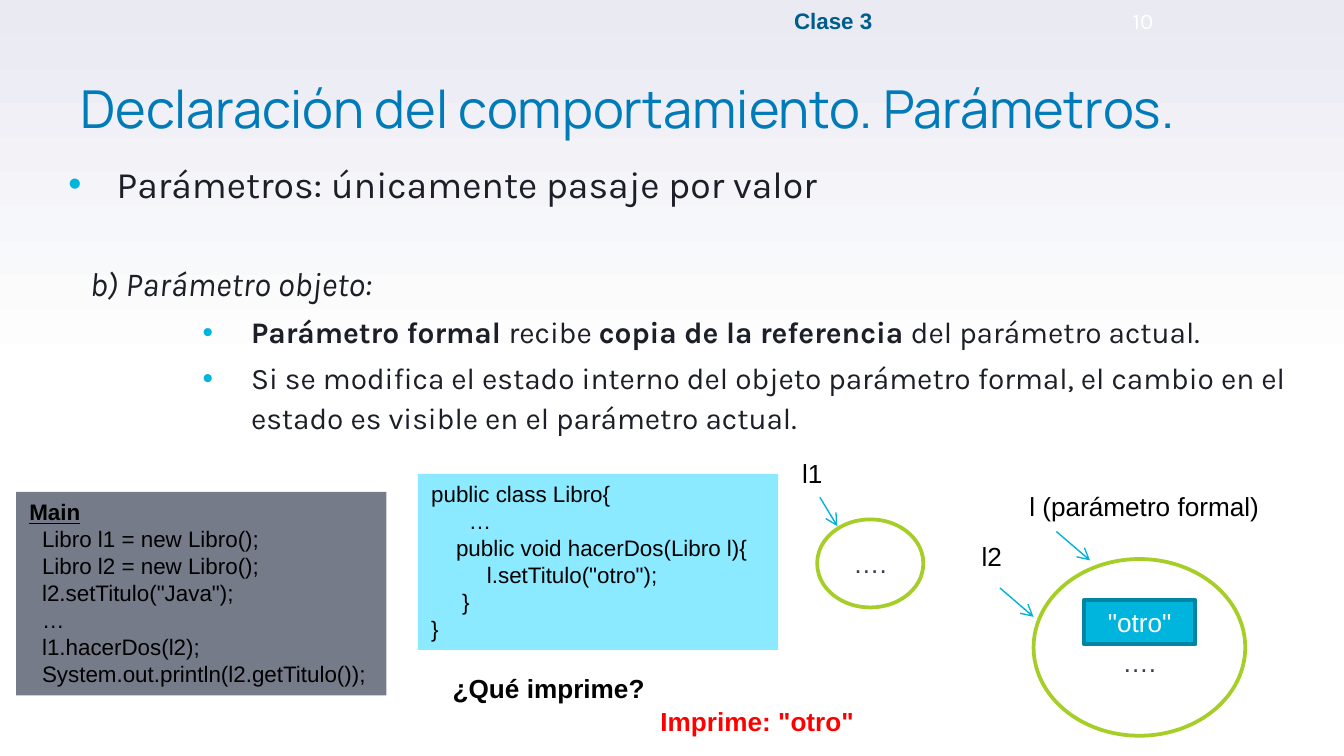
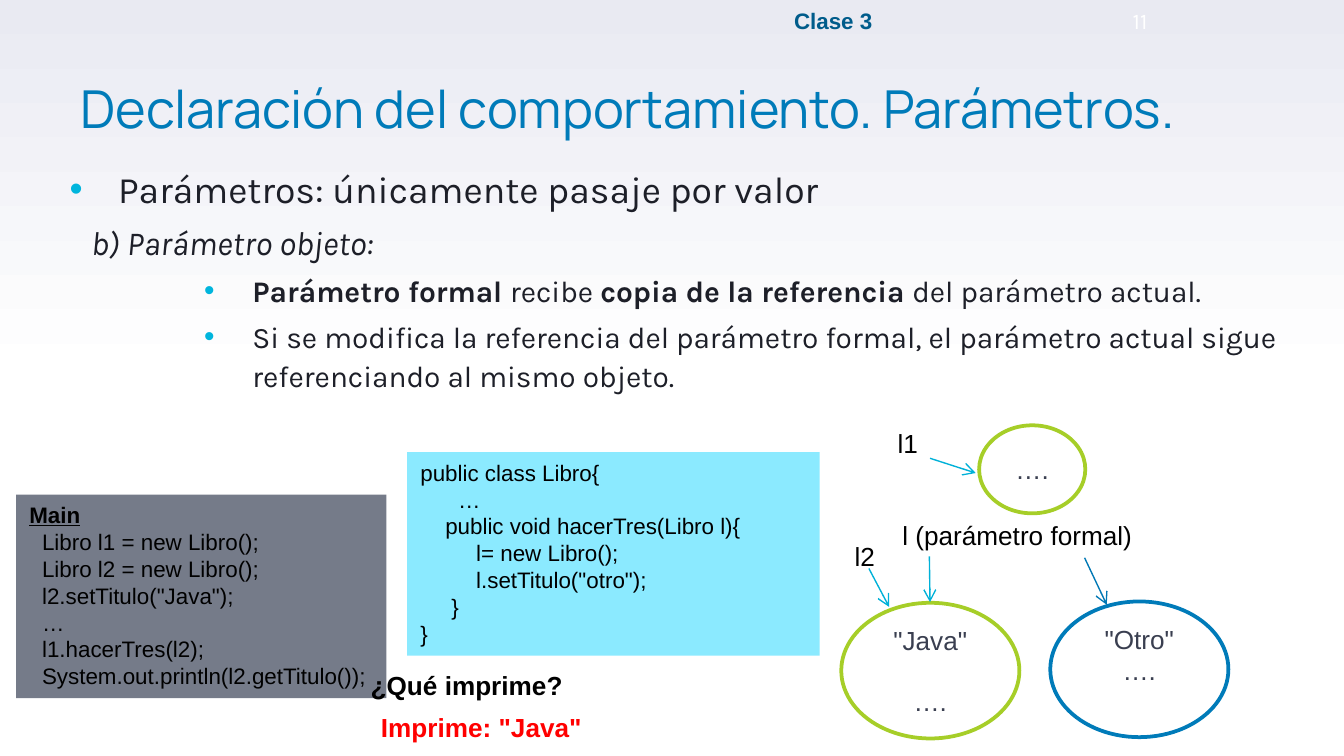
from dataclasses import dataclass
from typing import Any, Optional

from lxml.etree import SubElement
from pptx import Presentation
from pptx.dml.color import RGBColor
from pptx.enum.shapes import MSO_CONNECTOR, MSO_SHAPE
from pptx.enum.text import MSO_ANCHOR, MSO_AUTO_SIZE, PP_ALIGN
from pptx.oxml.ns import qn
from pptx.util import Emu, Pt

PX = 4572
SPACE = 9.26

HEX = {
    "white": "FFFFFF",
    "mist": "E9EAF2",
    "navy": "005C8B",
    "blue": "007BB9",
    "ink": "1D1F28",
    "slate": "3A3F50",
    "black": "000000",
    "red": "FF0000",
    "gray": "757B89",
    "sky": "8BEAFF",
    "cyan": "00B5DD",
    "teal": "0086A3",
    "green": "A6CE28",
    "arrow": "00B1D8",
    "deep": "0078B5",
}

FONTS: dict[str, dict[str, Any]] = {
    "title": {"name": "Manrope", "size": Pt(28), "color": "blue", "bold": False},
    "class": {"name": "Arial", "size": Pt(12), "color": "navy", "bold": True},
    "number": {"name": "Karla", "size": Pt(12), "color": "white"},
    "topic": {"name": "Karla", "size": Pt(20), "color": "ink"},
    "case": {"name": "Karla", "size": Pt(18), "color": "ink", "italic": True},
    "point": {"name": "Karla", "size": Pt(16), "color": "ink"},
    "strong": {"name": "Karla", "size": Pt(16), "color": "ink", "bold": True},
    "code": {"name": "Arial", "size": Pt(12), "color": "black"},
    "head": {"name": "Arial", "size": Pt(12), "color": "black", "bold": True, "underline": True},
    "label": {"name": "Arial", "size": Pt(14), "color": "black"},
    "state": {"name": "Arial", "size": Pt(14), "color": "slate"},
    "value": {"name": "Arial", "size": Pt(14), "color": "white"},
    "ask": {"name": "Arial", "size": Pt(14), "color": "black", "bold": True},
    "reply": {"name": "Arial", "size": Pt(14), "color": "red", "bold": True},
}


@dataclass(frozen=True)
class Para:
    runs: tuple[tuple[str, str], ...]
    align: Any = PP_ALIGN.LEFT
    left: int = 0
    hang: int = 0
    before: float = 0
    lead: float = 1.0
    dot: bool = False


@dataclass(frozen=True)
class Box:
    x: int
    y: int
    w: int
    h: int
    paras: tuple[Para, ...]
    kind: Any = None
    fill: str = "white"
    line: Optional[str] = None
    anchor: Any = MSO_ANCHOR.TOP
    top: int = 10
    base: int = 10
    wrap: bool = True


@dataclass(frozen=True)
class Arrow:
    x: int
    y: int
    to_x: int
    to_y: int
    color: str = "arrow"


@dataclass(frozen=True)
class Page:
    number: str
    items: tuple[Any, ...]


def px(value: int) -> Emu:
    return Emu(value * PX)


def rgb(name: str) -> RGBColor:
    return RGBColor.from_string(HEX[name])


def style(font: Any, name: str) -> None:
    for key, value in FONTS[name].items():
        if key == "color":
            font.color.rgb = rgb(value)
        else:
            setattr(font, key, value)


def mark(para: Any, item: Para) -> None:
    props = para._p.get_or_add_pPr()
    props.set("marL", str(px(item.left)))
    props.set("indent", str(px(item.hang)))
    if item.dot:
        color = SubElement(props, qn("a:buClr"))
        SubElement(color, qn("a:srgbClr")).set("val", HEX["cyan"])
        SubElement(props, qn("a:buFont")).set("typeface", "Arial")
        SubElement(props, qn("a:buChar")).set("char", "•")
    else:
        SubElement(props, qn("a:buNone"))


def write(frame: Any, box: Box) -> None:
    form = {
        "word_wrap": box.wrap,
        "auto_size": MSO_AUTO_SIZE.NONE,
        "vertical_anchor": box.anchor,
        "margin_left": px(20),
        "margin_right": px(20),
        "margin_top": px(box.top),
        "margin_bottom": px(box.base),
    }
    for key, value in form.items():
        setattr(frame, key, value)
    for index, item in enumerate(box.paras):
        para = frame.add_paragraph() if index else frame.paragraphs[0]
        para.alignment = item.align
        para.line_spacing = item.lead
        para.space_before = Pt(item.before)
        mark(para, item)
        for text, name in item.runs:
            run = para.add_run()
            run.text = text
            style(run.font, name)


def draw(slide: Any, box: Box) -> None:
    area = [px(side) for side in (box.x, box.y, box.w, box.h)]
    if box.kind is None:
        shape = slide.shapes.add_textbox(*area)
    else:
        shape = slide.shapes.add_shape(box.kind, *area)
        shape.shadow.inherit = False
        shape.fill.solid()
        shape.fill.fore_color.rgb = rgb(box.fill)
        if box.line:
            shape.line.color.rgb = rgb(box.line)
            shape.line.width = Pt(2)
        else:
            shape.line.fill.background()
    write(shape.text_frame, box)


def link(slide: Any, arrow: Arrow) -> None:
    ends = [px(side) for side in (arrow.x, arrow.y, arrow.to_x, arrow.to_y)]
    shape = slide.shapes.add_connector(MSO_CONNECTOR.STRAIGHT, *ends)
    shape.line.color.rgb = rgb(arrow.color)
    shape.line.width = Pt(0.75)
    SubElement(shape.line._get_or_add_ln(), qn("a:tailEnd")).set("type", "arrow")
    SubElement(shape._element.spPr, qn("a:effectLst"))


def label(x: int, y: int, w: int, text: str, name: str = "label") -> Box:
    return Box(x, y, w, 68, (Para(((text, name),)),), wrap=False)


def oval(x: int, y: int, w: int, h: int, *texts: str, line: str = "green",
         top: int = 10, base: int = 10, gap: int = 0) -> Box:
    paras = tuple(Para(((text, "state"),), PP_ALIGN.CENTER, before=gap if i else 0)
                  for i, text in enumerate(texts))
    return Box(x, y, w, h, paras, MSO_SHAPE.OVAL, "white", line,
               MSO_ANCHOR.MIDDLE, top, base)


def code(x: int, y: int, w: int, h: int, fill: str, *lines: tuple[int, str, str]) -> Box:
    paras = tuple(Para(((text, name),), left=round(depth * SPACE))
                  for depth, text, name in lines)
    return Box(x, y, w, h, paras, MSO_SHAPE.RECTANGLE, fill)


def main_code(y: int, method: str) -> Box:
    calls = ("Libro l1 = new Libro();", "Libro l2 = new Libro();",
             'l2.setTitulo("Java");', "…", f"l1.{method}(l2);",
             "System.out.println(l2.getTitulo());")
    return code(24, y, 551, 303, "gray", (0, "Main", "head"),
                *((2, call, "code") for call in calls))


def class_code(x: int, y: int, w: int, h: int, method: str, *steps: str) -> Box:
    return code(x, y, w, h, "sky",
                (0, "public class Libro{", "code"),
                (6, "…", "code"),
                (4, f"public void {method}(Libro l){{", "code"),
                *((9, step, "code") for step in steps),
                (5, "}", "code"),
                (0, "}", "code"))


def body(x: int, y: int, w: int, gap: float, last: str) -> Box:
    rule = (("Parámetro formal ", "strong"), ("recibe ", "point"),
            ("copia de la referencia ", "strong"), ("del parámetro actual.", "point"))
    flow = {"before": 3.6, "lead": 1.1, "hang": -72, "dot": True}
    return Box(x, y, w, 800, (
        Para((("Parámetros: únicamente pasaje por valor", "topic"),), left=100, **flow),
        Para((("b) Parámetro objeto:", "case"),), left=60, before=gap, lead=1.1),
        Para(rule, left=300, **flow),
        Para(((last, "point"),), left=300, **flow),
    ))


TITLE = Box(100, 88, 1800, 162,
            (Para((("Declaración del comportamiento. Parámetros.", "title"),), lead=0.8),),
            anchor=MSO_ANCHOR.MIDDLE)
BAND = Box(790, 3, 900, 54, (Para((("Clase 3", "class"),), PP_ALIGN.CENTER),),
           anchor=MSO_ANCHOR.MIDDLE)

PAGES = (
    Page("10", (
        oval(1538, 832, 315, 263, "….", top=54),
        body(54, 224, 1968, 28.4,
             "Si se modifica el estado interno del objeto parámetro formal, "
             "el cambio en el estado es visible en el parámetro actual."),
        main_code(732, "hacerDos"),
        class_code(622, 705, 536, 262, "hacerDos", 'l.setTitulo("otro");'),
        label(1441, 794, 94, "l2"),
        label(1512, 720, 498, "l (parámetro formal)"),
        Arrow(1488, 875, 1538, 918),
        Arrow(1572, 791, 1622, 834),
        Box(1613, 893, 166, 66, (Para((('"otro"', "value"),), PP_ALIGN.CENTER),),
            MSO_SHAPE.RECTANGLE, "cyan", "teal", MSO_ANCHOR.MIDDLE),
        label(1174, 671, 94, "l1"),
        Arrow(1220, 740, 1246, 783),
        oval(1216, 773, 158, 131, "…."),
        label(654, 991, 346, "¿Qué imprime?", "ask"),
        label(963, 1040, 390, 'Imprime: "otro"', "reply"),
    )),
    Page("11", (
        body(56, 231, 1944, 3.6,
             "Si se modifica la referencia del parámetro formal, "
             "el parámetro actual sigue referenciando al mismo objeto."),
        main_code(736, "hacerTres"),
        class_code(606, 673, 614, 303, "hacerTres",
                   "l= new Libro();", 'l.setTitulo("otro");'),
        oval(1252, 897, 265, 202, '"Java"', "….", gap=16),
        label(1252, 794, 82, "l2"),
        label(1323, 763, 384, "l (parámetro formal)"),
        Arrow(1293, 846, 1323, 903),
        Arrow(1383, 828, 1384, 896),
        oval(1563, 895, 265, 202, '"Otro"', "….", line="blue", base=54),
        Arrow(1614, 830, 1647, 900, "deep"),
        label(1316, 626, 82, "l1"),
        Arrow(1384, 682, 1452, 704),
        oval(1457, 633, 158, 131, "…."),
        label(532, 986, 346, "¿Qué imprime?", "ask"),
        label(547, 1049, 390, 'Imprime: "Java"', "reply"),
    )),
)


def paint(master: Any) -> None:
    fill = master.background.fill
    fill.gradient()
    fill.gradient_angle = 90
    for stop, (place, name) in zip(fill.gradient_stops, ((0.5, "white"), (1.0, "mist"))):
        stop.position = place
        stop.color.rgb = rgb(name)


def build(deck: Any, page: Page) -> None:
    slide = deck.slides.add_slide(deck.slide_layouts[5])
    title = slide.shapes.title
    for key, side in {"left": TITLE.x, "top": TITLE.y,
                      "width": TITLE.w, "height": TITLE.h}.items():
        setattr(title, key, px(side))
    write(title.text_frame, TITLE)
    draw(slide, BAND)
    draw(slide, Box(1666, 1, 120, 60, (Para(((page.number, "number"),)),),
                    anchor=MSO_ANCHOR.MIDDLE))
    for item in page.items:
        if isinstance(item, Arrow):
            link(slide, item)
        else:
            draw(slide, item)


def main() -> None:
    deck = Presentation()
    deck.slide_width = px(2000)
    deck.slide_height = px(1125)
    paint(deck.slide_master)
    for page in PAGES:
        build(deck, page)
    deck.save("out.pptx")


if __name__ == "__main__":
    main()
